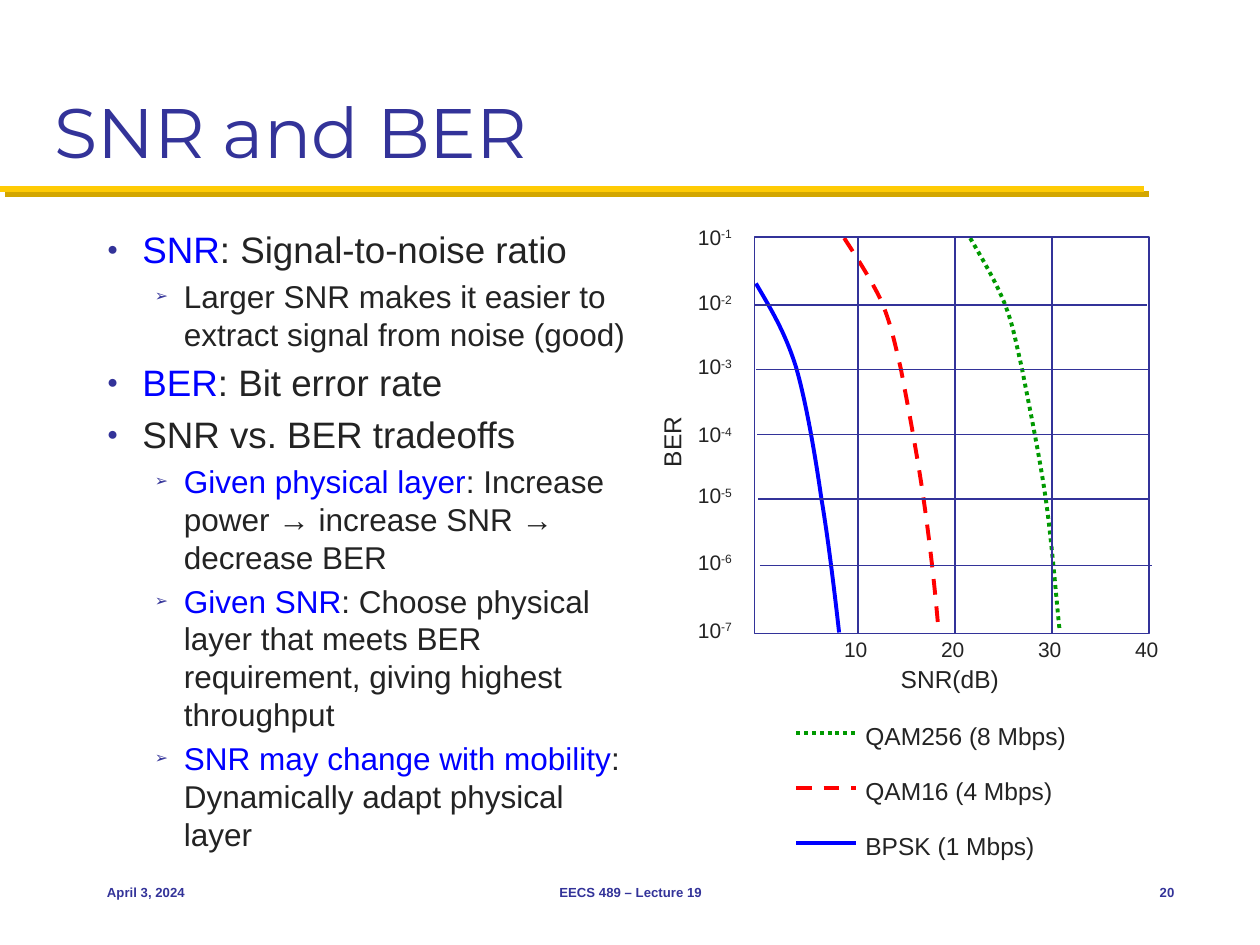
from lxml import etree
from pptx import Presentation
from pptx.dml.color import RGBColor
from pptx.enum.dml import MSO_LINE
from pptx.enum.shapes import MSO_CONNECTOR, MSO_SHAPE
from pptx.enum.text import MSO_ANCHOR, MSO_AUTO_SIZE, PP_ALIGN
from pptx.oxml.ns import qn
from pptx.util import Inches, Pt

STRAIGHT = MSO_CONNECTOR.STRAIGHT
RECTANGLE = MSO_SHAPE.RECTANGLE
DASH, DOTS = MSO_LINE.DASH, MSO_LINE.ROUND_DOT
TOP, MIDDLE, BOTTOM = MSO_ANCHOR.TOP, MSO_ANCHOR.MIDDLE, MSO_ANCHOR.BOTTOM
NO_FIT, GROW = MSO_AUTO_SIZE.NONE, MSO_AUTO_SIZE.SHAPE_TO_FIT_TEXT
LEFT, CENTER, RIGHT = PP_ALIGN.LEFT, PP_ALIGN.CENTER, PP_ALIGN.RIGHT

NAVY = RGBColor(0x33, 0x33, 0x99)
INK = RGBColor(0x23, 0x23, 0x23)
BLUE = RGBColor(0x00, 0x00, 0xFF)
RED = RGBColor(0xFF, 0x00, 0x00)
GREEN = RGBColor(0x00, 0x99, 0x00)
GOLD = RGBColor(0xFF, 0xCB, 0x05)
DARK_GOLD = RGBColor(0xD3, 0xA6, 0x00)

BULLETS = [
    (0, "SNR", ": Signal-to-noise ratio"),
    (1, "", "Larger SNR makes it easier to extract signal from noise (good)"),
    (0, "BER", ": Bit error rate"),
    (0, "", "SNR vs. BER tradeoffs"),
    (1, "Given physical layer", ": Increase power → increase SNR → decrease BER"),
    (1, "Given SNR", ": Choose physical layer that meets BER requirement, giving highest throughput"),
    (1, "SNR may change with mobility", ": Dynamically adapt physical layer"),
]
LEVELS = [
    dict(mark="●", size=21, indent=0.28, hanging=0.28, before=4.2),
    dict(mark="➢", size=18, indent=0.61, hanging=0.23, before=3.6),
]
BPSK = [(0.01, 0.37), (0.12, 0.56), (0.24, 0.75), (0.33, 1.04), (0.41, 1.32),
        (0.48, 1.73), (0.53, 2.08), (0.59, 2.43), (0.65, 2.96), (0.67, 3.14)]
QAM16 = [(0.71, 0.01), (0.82, 0.18), (0.93, 0.35), (1.01, 0.52), (1.08, 0.7),
         (1.1, 0.79), (1.16, 1.05), (1.21, 1.31), (1.29, 1.73), (1.34, 2.08),
         (1.39, 2.43), (1.43, 2.78), (1.46, 3.14)]
QAM256 = [(1.71, 0.01), (1.81, 0.18), (1.91, 0.35), (1.98, 0.52), (2.05, 0.7),
          (2.06, 0.78), (2.12, 1.04), (2.17, 1.3), (2.26, 1.73), (2.31, 2.08),
          (2.36, 2.43), (2.4, 2.95), (2.42, 3.12)]
CURVES = [(BPSK, BLUE, None), (QAM16, RED, DASH), (QAM256, GREEN, DOTS)]
LEGEND = [("QAM256 (8 Mbps)", GREEN, DOTS), ("QAM16 (4 Mbps)", RED, DASH), ("BPSK (1 Mbps)", BLUE, None)]
GRID_ROWS = (0.54, 1.05, 1.57, 2.08, 2.61)
BER_LABEL_ROWS = (-0.15, 0.37, 0.88, 1.42, 1.9, 2.43, 2.97)


def add_run(paragraph, text, size, color=INK, font="Arial", bold=False, raised=False):
    """Append a formatted run, optionally as superscript."""
    run = paragraph.add_run()
    run.text = text
    run.font.size, run.font.name, run.font.bold = Pt(size), font, bold
    run.font.color.rgb = color
    if raised:
        run.font._element.set("baseline", "30000")


def place(shape, box):
    """Move a shape into a box given in inches."""
    shape.left, shape.top, shape.width, shape.height = map(Inches, box)


def add_label(slide, box, text, size=14, exponent="", rotation=0, color=INK,
              bold=False, align=LEFT, anchor=TOP, fit=GROW):
    """Add a one-line label with an optional exponent."""
    label = slide.shapes.add_textbox(*map(Inches, box))
    label.rotation = rotation
    frame = label.text_frame
    frame.word_wrap, frame.auto_size, frame.vertical_anchor = False, fit, anchor
    paragraph = frame.paragraphs[0]
    paragraph.alignment = align
    add_run(paragraph, text, size, color, bold=bold)
    if exponent:
        add_run(paragraph, exponent, size, color, raised=True)


def style_line(line, color, width, dash=None):
    """Set colour, width and dash of a line."""
    line.color.rgb, line.width = color, Pt(width)
    if dash:
        line.dash_style = dash


def add_line(slide, start, end, color=NAVY, width=0.75, dash=None):
    """Add a straight line without a shadow and return its effect list."""
    line = slide.shapes.add_connector(STRAIGHT, *map(Inches, (*start, *end)))
    style_line(line.line, color, width, dash)
    return etree.SubElement(line._element.spPr, qn("a:effectLst"))


def add_header(slide, box):
    """Fill the title and draw the gold rule with its hard shadow below it."""
    title = slide.shapes.title
    place(title, box)
    frame = title.text_frame
    frame.vertical_anchor, frame.auto_size = BOTTOM, NO_FIT
    frame.paragraphs[0].alignment = LEFT
    add_run(frame.paragraphs[0], "SNR and BER", 40, NAVY, "Montserrat")
    rule_y = box[1] + box[3] + 0.08
    effects = add_line(slide, (0, rule_y), (9.08, rule_y), GOLD, 3.5)
    shadow = etree.SubElement(effects, qn("a:outerShdw"), blurRad="0",
                              dist=str(Pt(4.2)), dir="2700000", algn="ctr", rotWithShape="0")
    etree.SubElement(shadow, qn("a:srgbClr"), val=str(DARK_GOLD))


def set_bullet(paragraph, mark, indent, hanging):
    """Give a paragraph a half-size navy bullet and a hanging indent."""
    properties = paragraph._p.get_or_add_pPr()
    properties.set("marL", str(Inches(indent)))
    properties.set("indent", str(-Inches(hanging)))
    color = etree.SubElement(properties, qn("a:buClr"))
    etree.SubElement(color, qn("a:srgbClr"), val=str(NAVY))
    etree.SubElement(properties, qn("a:buSzPct"), val="50000")
    etree.SubElement(properties, qn("a:buFont"), typeface="Arial")
    etree.SubElement(properties, qn("a:buChar"), char=mark)


def add_bullets(slide, box):
    """Fill the body with the two-level list."""
    body = slide.placeholders[1]
    place(body, box)
    frame = body.text_frame
    frame.auto_size = NO_FIT
    for index, (level, term, rest) in enumerate(BULLETS):
        paragraph = frame.add_paragraph() if index else frame.paragraphs[0]
        style = LEVELS[level]
        paragraph.level = level
        paragraph.space_before, paragraph.line_spacing = Pt(style["before"]), 1.0
        set_bullet(paragraph, style["mark"], style["indent"], style["hanging"])
        if term:
            add_run(paragraph, term, style["size"], BLUE)
        add_run(paragraph, rest, style["size"])


def add_curve(slide, origin, controls, color, dash):
    """Draw a chain of cubic Bezier segments relative to an origin."""
    vertices = [(Inches(origin[0] + x), Inches(origin[1] + y)) for x, y in controls]
    builder = slide.shapes.build_freeform(*vertices[0])
    builder.add_line_segments(vertices[1:], close=False)
    curve = builder.convert_to_shape()
    sides = list(curve._element.iter(qn("a:lnTo")))
    outline = sides[0].getparent()
    for first in range(0, len(sides), 3):
        bezier = etree.SubElement(outline, qn("a:cubicBezTo"))
        for side in sides[first:first + 3]:
            bezier.append(side[0])
            outline.remove(side)
    curve.shadow.inherit = False
    curve.fill.background()
    style_line(curve.line, color, 2.25, dash)


def add_plot(slide, box):
    """Draw the BER against SNR curves, grid and axis labels."""
    left, top, width, height = box
    for controls, color, dash in CURVES:
        add_curve(slide, (left, top), controls, color, dash)
    border = slide.shapes.add_shape(RECTANGLE, *map(Inches, box))
    border.shadow.inherit = False
    border.fill.background()
    style_line(border.line, NAVY, 0.75)
    for row, offset in enumerate(GRID_ROWS):
        x, y = left + 0.01 * row, top + offset
        add_line(slide, (x, y), (x + 3.11, y))
    for column in range(3):
        x = left + 0.82 + 0.77 * column
        add_line(slide, (x, top), (x, top + height))
    for column in range(4):
        add_label(slide, (left + 0.61 + 0.77 * column, top + 3.12, 0.39, 0.3), str(10 * (column + 1)), 12)
    for row, offset in enumerate(BER_LABEL_ROWS, 1):
        add_label(slide, (left - 0.55, top + offset, 0.48, 0.3), "10", 12, f"-{row}")
    add_label(slide, (left + 1.06, top + 3.34, 1.01, 0.34), "SNR(dB)")
    add_label(slide, (left - 0.96, top + 1.45, 0.61, 0.34), "BER", rotation=270)


def add_legend(slide, box):
    """List the modulation schemes with their line samples."""
    left, top, width, height = box
    pitch = height / len(LEGEND)
    for row, (scheme, color, dash) in enumerate(LEGEND):
        y = top + pitch * row
        add_line(slide, (left, y + 0.15), (left + 0.47, y + 0.15), color, 2.25, dash)
        add_label(slide, (left + 0.45, y, width - 0.45, 0.34), scheme)


def add_footer(slide, box):
    """Place date, lecture and page number along the bottom."""
    left, top, width, height = box
    parts = [(0, 2.08, "April 3, 2024", LEFT), (2.67, 3.17, "EECS 489 – Lecture 19", CENTER),
             (width - 0.67, 0.67, "20", RIGHT)]
    for offset, part_width, text, align in parts:
        add_label(slide, (left + offset, top, part_width, height), text, 7.5, color=NAVY,
                  bold=True, align=align, anchor=MIDDLE, fit=NO_FIT)


def main():
    """Build the slide and save it."""
    deck = Presentation()
    deck.slide_width, deck.slide_height = Inches(10), Inches(7.5)
    slide = deck.slides.add_slide(deck.slide_layouts[1])
    add_header(slide, (0.33, 0.17, 9.33, 1.25))
    add_bullets(slide, (0.75, 1.75, 4.35, 4.83))
    add_plot(slide, (5.99, 1.88, 3.13, 3.15))
    add_legend(slide, (6.32, 5.67, 2.29, 1.31))
    add_footer(slide, (0.75, 6.83, 8.67, 0.5))
    deck.save("out.pptx")


if __name__ == "__main__":
    main()
